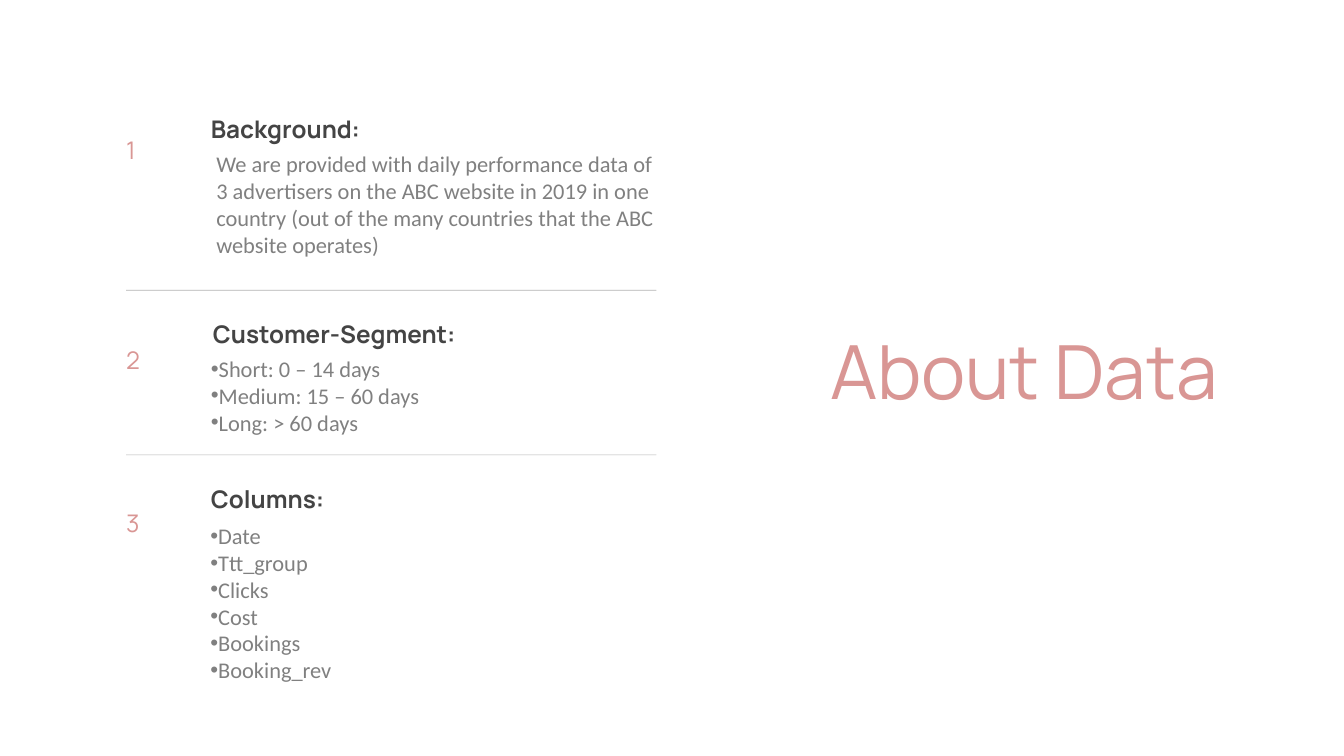
from lxml.etree import SubElement
from pptx import Presentation
from pptx.dml.color import RGBColor
from pptx.enum.shapes import MSO_CONNECTOR
from pptx.enum.text import MSO_AUTO_SIZE, PP_ALIGN
from pptx.oxml.ns import qn
from pptx.util import Pt

PINK = RGBColor(0xD9, 0x96, 0x94)
DARK = RGBColor(0x44, 0x44, 0x44)
GRAY = RGBColor(0x80, 0x80, 0x80)
BLACK = RGBColor(0, 0, 0)
HEAD = "Manrope"
BODY = "Calibri"
LEFT = 135.2

PARTS = [
    (119.5, "Background:", 226, 23.1, 231.8, 41.8, False, [
        "We are provided with daily performance data of 3 advertisers on the "
        "ABC website in 2019 in one country (out of the many countries that "
        "the ABC website operates)"]),
    (339.8, "Customer-Segment:", 228.2, 27.4, 226, 40.4, True, [
        "Short: 0 – 14 days", "Medium: 15 – 60 days", "Long: > 60 days"]),
    (516.2, "Columns:", 226, 26, 225.4, 43.2, True, [
        "Date", "Ttt_group", "Clicks", "Cost", "Bookings", "Booking_rev"]),
]


def add_text(slide, box, lines, size, face, color, bold=False,
             space=None, align=PP_ALIGN.LEFT, bullet=False):
    shape = slide.shapes.add_textbox(*(Pt(n) for n in box))
    frame = shape.text_frame
    frame.word_wrap = True
    frame.auto_size = MSO_AUTO_SIZE.SHAPE_TO_FIT_TEXT
    frame.margin_left = frame.margin_right = 0
    frame.margin_top = frame.margin_bottom = 0
    for i, line in enumerate(lines):
        para = frame.add_paragraph() if i else frame.paragraphs[0]
        para.alignment = align
        if space:
            para.line_spacing = Pt(space)
        if bullet:
            props = para._p.get_or_add_pPr()
            SubElement(props, qn("a:buFont"), typeface="Arial")
            SubElement(props, qn("a:buChar"), char="•")
        run = para.add_run()
        run.text = line
        font = run.font
        font.size, font.name, font.bold = Pt(size), face, bold
        font.color.rgb = color


def add_part(slide, left, num, part):
    top, title, head_x, num_dy, body_x, body_dy, bullet, lines = part
    add_text(slide, (left, top + num_dy, 91.2, 34.6), [str(num)],
             26, HEAD, PINK, space=33.8)
    add_text(slide, (head_x, top, 448.6, 33.1), [title],
             26, HEAD, DARK, bold=True, space=33.8)
    width = 448.6 if bullet else 479.5
    add_text(slide, (body_x, top + body_dy, width, 29 * len(lines)), lines,
             24, BODY, GRAY, bullet=bullet)


def add_rule(slide, left, top, width):
    rule = slide.shapes.add_connector(
        MSO_CONNECTOR.STRAIGHT, Pt(left), Pt(top), Pt(left + width), Pt(top))
    rule.line.width = Pt(0.75)
    rule.line.color.rgb = BLACK
    props = rule._element.spPr
    tint = props.find(".//" + qn("a:srgbClr"))
    SubElement(tint, qn("a:alpha"), val="30000")
    SubElement(props, qn("a:effectLst"))


def main():
    deck = Presentation()
    deck.slide_width, deck.slide_height = Pt(1440), Pt(810)
    slide = deck.slides.add_slide(deck.slide_layouts[6])
    for num, part in enumerate(PARTS, 1):
        add_part(slide, LEFT, num, part)
    for top in (311, 487.4):
        add_rule(slide, LEFT, top, 568)
    add_text(slide, (840.2, 356.4, 514, 90.7), ["About Data"],
             80, HEAD, PINK, space=88, align=PP_ALIGN.CENTER)
    deck.save("out.pptx")


if __name__ == "__main__":
    main()
